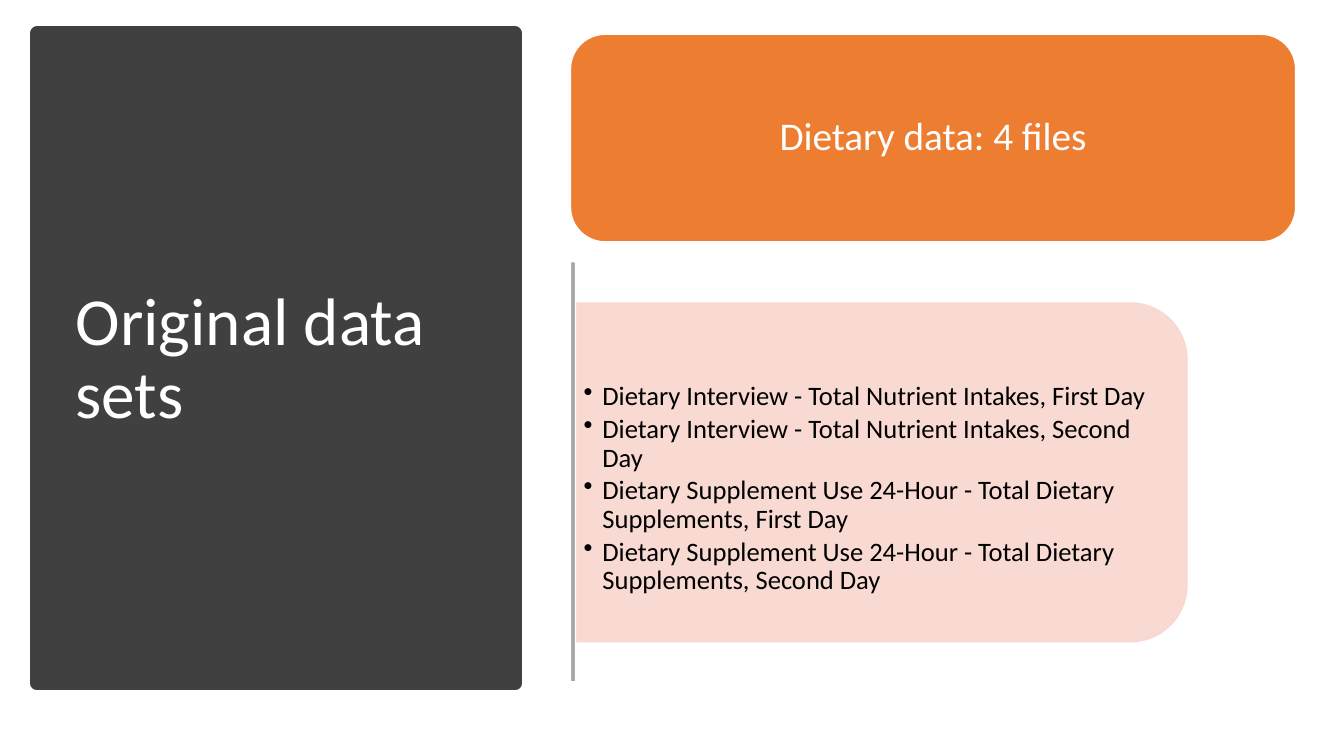
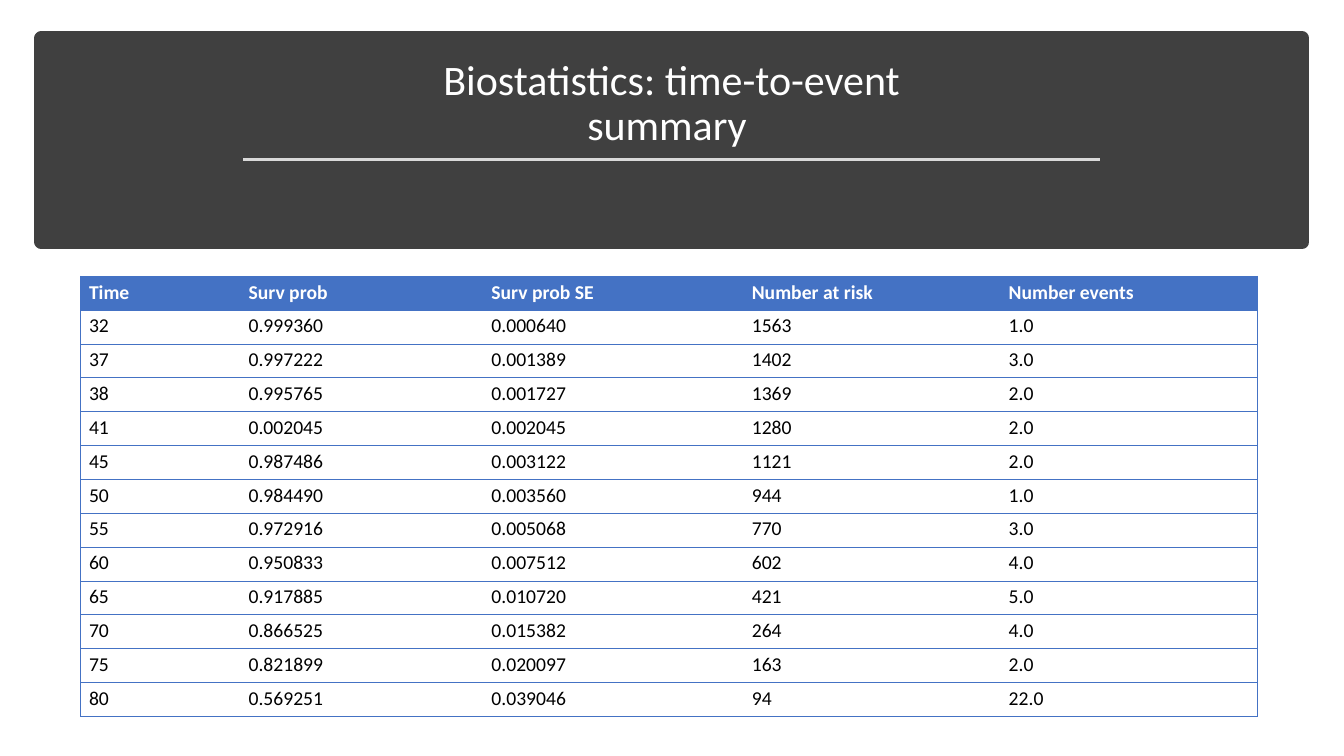
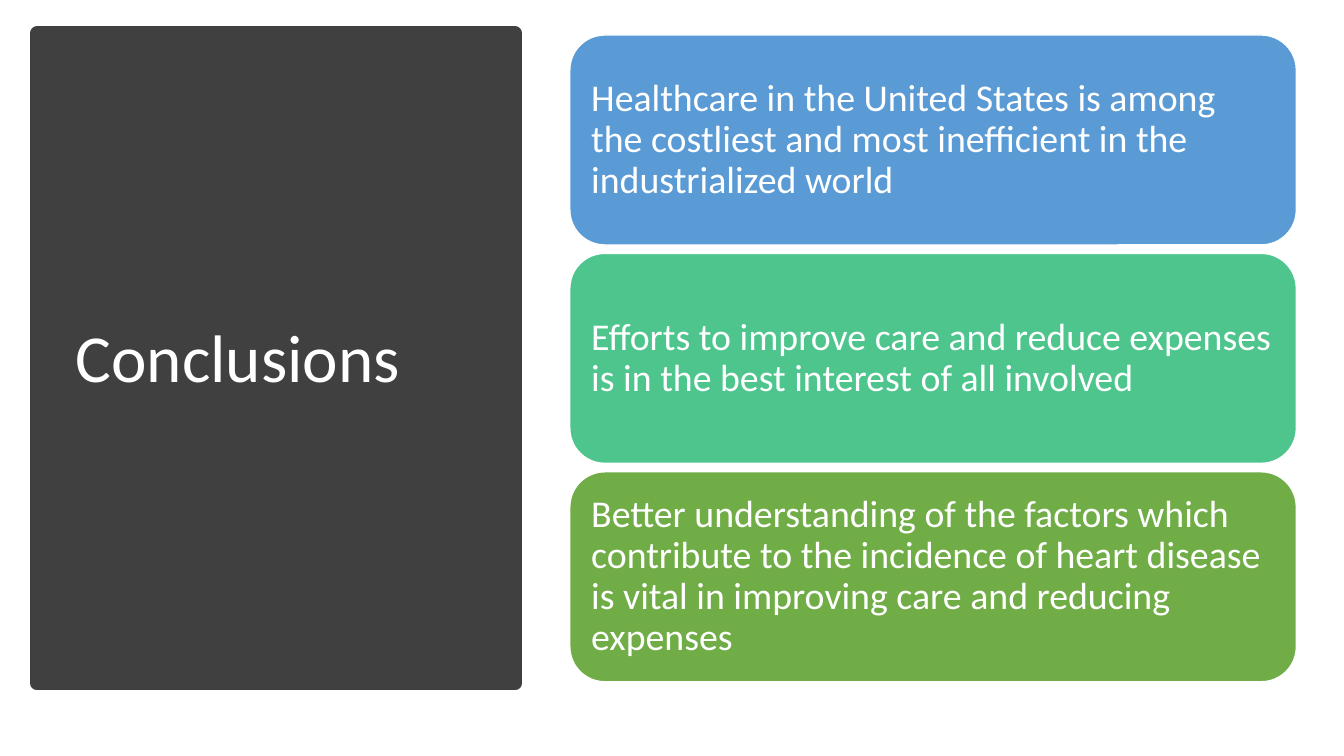
from lxml import etree
from pptx import Presentation
from pptx.dml.color import RGBColor
from pptx.enum.shapes import MSO_CONNECTOR, MSO_SHAPE
from pptx.enum.text import MSO_ANCHOR, PP_ALIGN
from pptx.oxml.ns import qn
from pptx.util import Pt

RECTANGLE = MSO_SHAPE.RECTANGLE
ROUNDED = MSO_SHAPE.ROUNDED_RECTANGLE
ROUNDED_TOP = MSO_SHAPE.ROUND_2_SAME_RECTANGLE
STRAIGHT = MSO_CONNECTOR.STRAIGHT
LEFT, CENTER = PP_ALIGN.LEFT, PP_ALIGN.CENTER
MIDDLE, BOTTOM = MSO_ANCHOR.MIDDLE, MSO_ANCHOR.BOTTOM

FONT = "Calibri"
WHITE = RGBColor(0xFF, 0xFF, 0xFF)
BLACK = RGBColor(0x00, 0x00, 0x00)
CHARCOAL = RGBColor(0x40, 0x40, 0x40)
SILVER = RGBColor(0xD9, 0xD9, 0xD9)
GRAY = RGBColor(0xA5, 0xA5, 0xA5)
ORANGE = RGBColor(0xED, 0x7D, 0x31)
PEACH = RGBColor(0xF8, 0xD7, 0xCE)
SKY = RGBColor(0x5B, 0x9B, 0xD5)
MINT = RGBColor(0x4D, 0xC5, 0x8D)
GREEN = RGBColor(0x70, 0xAD, 0x47)
BLUE = RGBColor(0x44, 0x72, 0xC4)

# Boxes are left, top, width, height in points.
SIDE_PANEL = (26.6, 23.8, 341.3, 464.4)
TOP_BAND = (29.5, 27.4, 900.7, 145.4)
CONTENT = (407, 25, 519, 462)
TABLE = (57.6, 197.3, 840.5, 314.6)

DATA_FILES = [
    "Dietary Interview - Total Nutrient Intakes, First Day",
    "Dietary Interview - Total Nutrient Intakes, Second Day",
    "Dietary Supplement Use 24-Hour - Total Dietary Supplements, First Day",
    "Dietary Supplement Use 24-Hour - Total Dietary Supplements, Second Day",
]
COLUMN_WIDTHS = [114, 173.5, 186, 183.5, 183.5]
SURVIVAL_ROWS = [
    ("Time", "Surv prob", "Surv prob SE", "Number at risk", "Number events"),
    ("32", "0.999360", "0.000640", "1563", "1.0"),
    ("37", "0.997222", "0.001389", "1402", "3.0"),
    ("38", "0.995765", "0.001727", "1369", "2.0"),
    ("41", "0.002045", "0.002045", "1280", "2.0"),
    ("45", "0.987486", "0.003122", "1121", "2.0"),
    ("50", "0.984490", "0.003560", "944", "1.0"),
    ("55", "0.972916", "0.005068", "770", "3.0"),
    ("60", "0.950833", "0.007512", "602", "4.0"),
    ("65", "0.917885", "0.010720", "421", "5.0"),
    ("70", "0.866525", "0.015382", "264", "4.0"),
    ("75", "0.821899", "0.020097", "163", "2.0"),
    ("80", "0.569251", "0.039046", "94", "22.0"),
]
CONCLUSIONS = [
    (SKY, "Healthcare in the United States is among the costliest and most "
          "inefficient in the industrialized world"),
    (MINT, "Efforts to improve care and reduce expenses is in the best "
           "interest of all involved"),
    (GREEN, "Better understanding of the factors which contribute to the "
            "incidence of heart disease is vital in improving care and "
            "reducing expenses"),
]


def points(values):
    return [Pt(value) for value in values]


def add_block(page, kind, box, fill, line=WHITE, line_width=1):
    shape = page.shapes.add_shape(kind, *points(box))
    shape.shadow.inherit = False
    shape.fill.solid()
    shape.fill.fore_color.rgb = fill
    shape.line.color.rgb = line
    shape.line.width = Pt(line_width)
    return shape


def set_frame(frame, anchor, insets):
    """Wrap the text; insets are left, top, right, bottom."""
    frame.word_wrap = True
    frame.vertical_anchor = anchor
    (frame.margin_left, frame.margin_top,
     frame.margin_right, frame.margin_bottom) = points(insets)


def style_paragraph(para, size, color, align=LEFT, bold=False):
    para.alignment = align
    para.font.name = FONT
    para.font.size = Pt(size)
    para.font.bold = bold
    para.font.color.rgb = color


def write(shape, text, size, anchor, insets, align=LEFT):
    """Put one white paragraph into a shape."""
    set_frame(shape.text_frame, anchor, insets)
    para = shape.text_frame.paragraphs[0]
    para.text = text
    para.line_spacing = 0.9
    style_paragraph(para, size, WHITE, align)


def add_title_block(page, box, text, size, anchor, insets, align=LEFT):
    block = add_block(page, RECTANGLE, box, CHARCOAL, CHARCOAL, 10)
    write(block, text, size, anchor, insets, align)


def add_side_title(page, text):
    add_title_block(page, SIDE_PANEL, text, 48, MIDDLE, (27.4, 5, 28.8, 2))


def add_bullets(page, box, lines):
    frame = page.shapes.add_textbox(*points(box)).text_frame
    set_frame(frame, MIDDLE, (6, 27, 6, 3))
    for index, line in enumerate(lines):
        para = frame.paragraphs[0] if index == 0 else frame.add_paragraph()
        para.text = line
        para.line_spacing = 0.9
        para.space_after = Pt(2.85)
        properties = para._p.get_or_add_pPr()
        properties.set("marL", str(Pt(13.5)))
        properties.set("indent", str(-Pt(13.5)))
        etree.SubElement(properties, qn("a:buChar"), char="•")
        style_paragraph(para, 19, BLACK)


def add_file_list(page, box, heading, lines):
    """Heading card above a vertical rule and a panel rounded on its right."""
    left, top, width, height = box
    card = add_block(page, ROUNDED, (left + 0.5, top - 0.5, width - 1, 148.3), ORANGE)
    write(card, heading, 28, MIDDLE, (8.6, 4.3, 8.6, 4.3), CENTER)

    panel_left, panel_top = left + 3.8, top + 191.4
    length, depth = 437, 242
    shift = (length - depth) / 2
    panel = add_block(page, ROUNDED_TOP,
                      (panel_left + shift, panel_top - shift, depth, length),
                      PEACH, PEACH)
    panel.rotation = 90
    for color in panel._element.spPr.iter(qn("a:srgbClr")):
        etree.SubElement(color, qn("a:alpha"), val="90000")
    add_bullets(page, (panel_left, panel_top + 12, 425.5, 218), lines)
    add_block(page, ROUNDED, (left + 0.5, top + 162, 3.6, height - 162), GRAY)


def add_card_stack(page, box, cards):
    left, top, width, height = box
    gap = 6
    card_height = (height - gap * (len(cards) - 1)) / len(cards)
    for index, (color, text) in enumerate(cards):
        card_top = top + index * (card_height + gap)
        card = add_block(page, ROUNDED, (left, card_top, width, card_height), color)
        write(card, text, 27, MIDDLE, (8, 8, 8, 8))


def add_header_band(page, box, text):
    add_title_block(page, box, text, 30, BOTTOM, (20, 11, 20, 66), CENTER)
    left, top, width, _ = box
    middle, half, rule_top = left + width / 2, 306, top + 86.4
    rule = page.shapes.add_connector(
        STRAIGHT, *points((middle - half, rule_top, middle + half, rule_top)))
    rule.line.color.rgb = SILVER
    rule.line.width = Pt(1.75)
    etree.SubElement(rule._element.spPr, qn("a:effectLst"))


def set_borders(cell, visible):
    """Draw the named sides in blue and clear the others."""
    properties = cell._tc.get_or_add_tcPr()
    for side in "LRTB":
        line = etree.SubElement(properties, qn(f"a:ln{side}"), w=str(Pt(0.5)))
        if side in visible:
            fill = etree.SubElement(line, qn("a:solidFill"))
            etree.SubElement(fill, qn("a:srgbClr"), val=str(BLUE))
        else:
            etree.SubElement(line, qn("a:noFill"))


def add_ruled_table(page, box, rows, widths):
    table = page.shapes.add_table(len(rows), len(widths), *points(box)).table
    table.horz_banding = False
    for column, width in zip(table.columns, widths):
        column.width = Pt(width)
    last = len(widths) - 1
    for row_index, values in enumerate(rows):
        is_header = row_index == 0
        table.rows[row_index].height = Pt(box[3] / len(rows))
        for index, value in enumerate(values):
            cell = table.cell(row_index, index)
            cell.margin_left = cell.margin_right = Pt(6)
            cell.margin_top = cell.margin_bottom = Pt(3)
            set_borders(cell, "TB" + "L" * (index == 0) + "R" * (index == last))
            if is_header:
                cell.fill.solid()
                cell.fill.fore_color.rgb = BLUE
            else:
                cell.fill.background()
            para = cell.text_frame.paragraphs[0]
            para.text = value
            style_paragraph(para, 14, WHITE if is_header else BLACK, bold=is_header)


def main():
    deck = Presentation()
    deck.slide_width, deck.slide_height = Pt(960), Pt(540)
    blank = deck.slide_layouts[6]

    page = deck.slides.add_slide(blank)
    add_side_title(page, "Original data sets")
    add_file_list(page, CONTENT, "Dietary data: 4 files", DATA_FILES)

    page = deck.slides.add_slide(blank)
    add_header_band(page, TOP_BAND, "Biostatistics: time-to-event\vsummary ")
    add_ruled_table(page, TABLE, SURVIVAL_ROWS, COLUMN_WIDTHS)

    page = deck.slides.add_slide(blank)
    add_side_title(page, "Conclusions")
    add_card_stack(page, CONTENT, CONCLUSIONS)

    deck.save("out.pptx")


if __name__ == "__main__":
    main()
